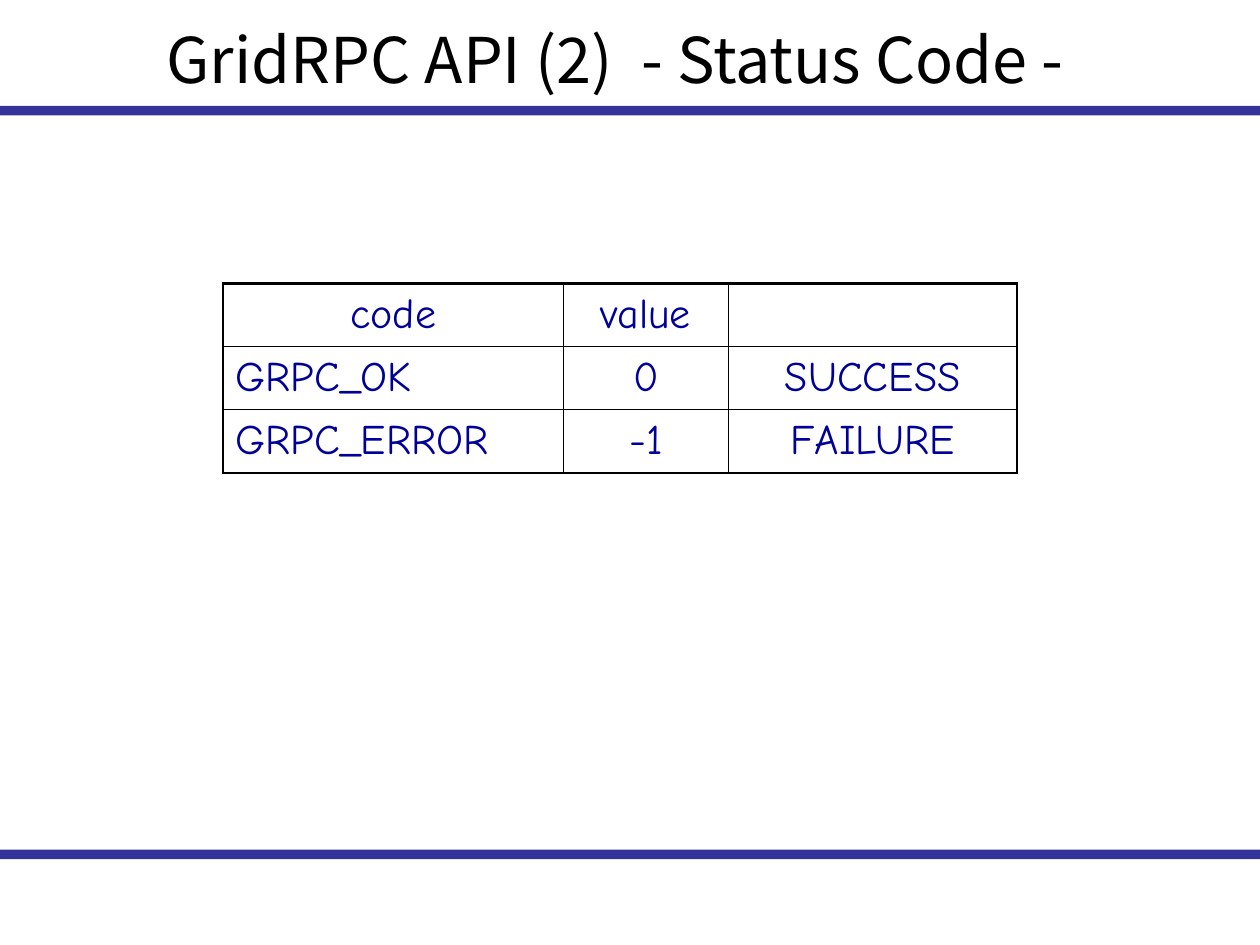
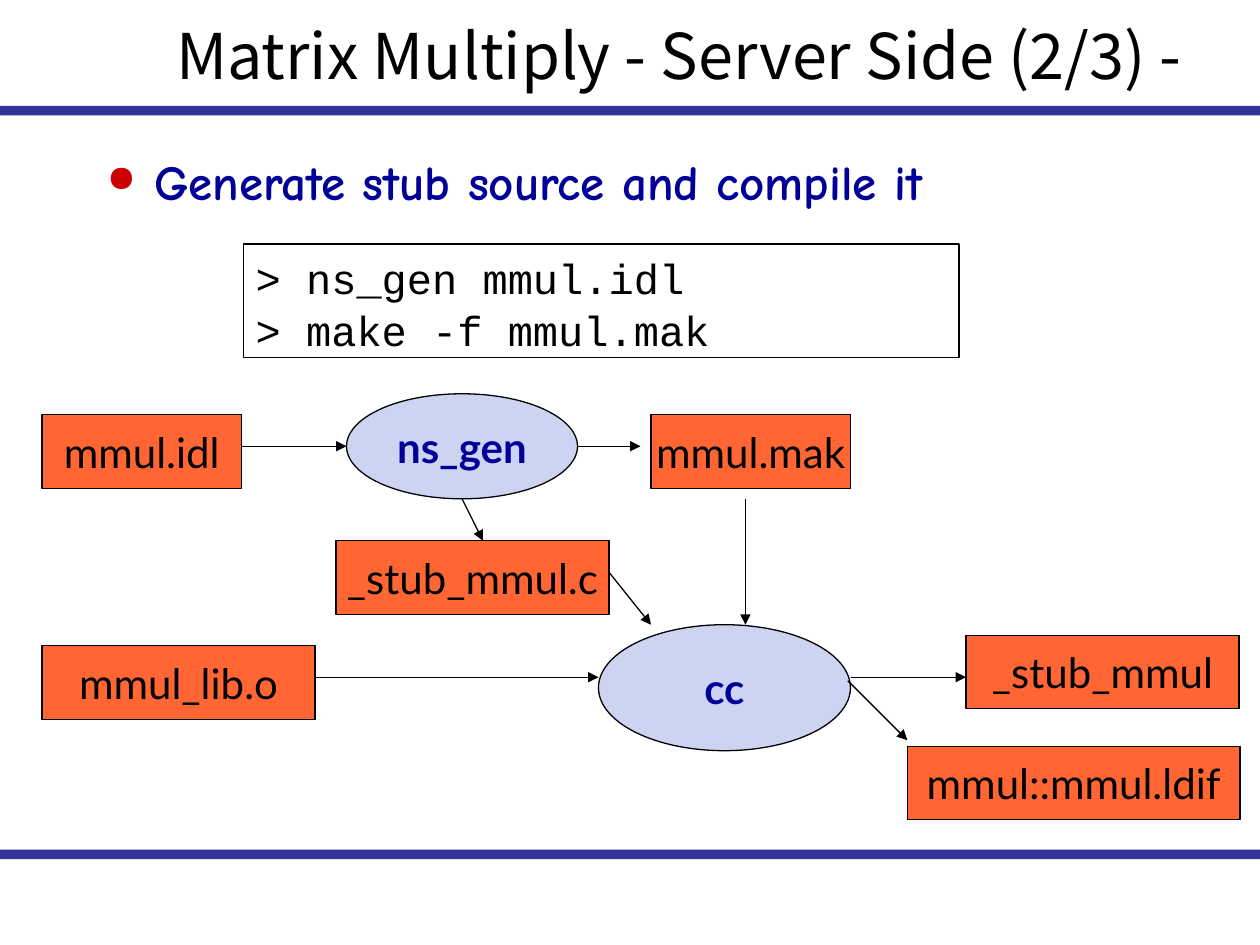
from dataclasses import dataclass

from lxml import etree
from pptx import Presentation
from pptx.dml.color import RGBColor
from pptx.enum.shapes import MSO_CONNECTOR, MSO_SHAPE
from pptx.enum.text import MSO_ANCHOR, PP_ALIGN
from pptx.oxml.ns import qn
from pptx.util import Pt

RECT, OVAL = MSO_SHAPE.RECTANGLE, MSO_SHAPE.OVAL
LINE = MSO_CONNECTOR.STRAIGHT
TOP, MID, LOW = MSO_ANCHOR.TOP, MSO_ANCHOR.MIDDLE, MSO_ANCHOR.BOTTOM
LEFT, CENTER = PP_ALIGN.LEFT, PP_ALIGN.CENTER


@dataclass(frozen=True)
class Theme:
    ink: str = "000000"
    navy: str = "000099"
    band: str = "000080"
    file: str = "FF6633"
    tool: str = "CDD4F1"
    dot: str = "CC0000"
    head: str = "Noto Sans CJK JP"
    hand: str = "Comic Neue"
    code: str = "Courier New"
    label: str = "Lato"
    title: float = 36
    point: float = 28
    body: float = 24
    thin: float = 0.45
    line: float = 0.75
    side: float = 1.08
    edge: float = 1.47


def add(parent, tag, **attrs):
    return etree.SubElement(parent, qn(tag), attrs)


def rgb(color):
    return RGBColor.from_string(color)


class Deck:
    def __init__(self, theme):
        self.theme = theme
        self.file = Presentation()
        self.file.slide_width, self.file.slide_height = Pt(720), Pt(540)
        self.slide = None

    def page(self, title, box, anchor):
        self.slide = self.file.slides.add_slide(self.file.slide_layouts[6])
        for top in (60.5, 485.5):
            band = self.shape(RECT, (0, top, 720, 5.5), self.theme.band)
            band.line.fill.background()
            tint = band.fill._xPr.find(".//" + qn("a:srgbClr"))
            add(tint, "a:alpha", val="80000")
        self.text(title, box, self.theme.head, self.theme.title,
                  self.theme.ink, anchor)

    def style(self, frame, font, size, color, bold=False, align=LEFT):
        for para in frame.paragraphs:
            para.alignment = align
            for run in para.runs:
                run.font.name = font
                run.font.size = Pt(size)
                run.font.bold = bold
                run.font.color.rgb = rgb(color)

    def text(self, words, box, font, size, color, anchor=TOP, bold=False):
        frame = self.slide.shapes.add_textbox(*map(Pt, box)).text_frame
        frame.word_wrap = True
        frame.vertical_anchor = anchor
        frame.text = words
        self.style(frame, font, size, color, bold)
        return frame

    def bullet(self, words, box):
        frame = self.text(words, box, self.theme.hand, self.theme.point,
                          self.theme.navy, bold=True)
        props = frame.paragraphs[0]._p.get_or_add_pPr()
        props.set("marL", str(Pt(27)))
        props.set("indent", str(-Pt(27)))
        add(add(props, "a:buClr"), "a:srgbClr", val=self.theme.dot)
        add(props, "a:buSzPct", val="75000")
        add(props, "a:buChar", char="●")

    def shape(self, kind, box, fill=None):
        shape = self.slide.shapes.add_shape(kind, *map(Pt, box))
        shape.shadow.inherit = False
        if fill:
            shape.fill.solid()
            shape.fill.fore_color.rgb = rgb(fill)
        else:
            shape.fill.background()
        shape.line.color.rgb = rgb(self.theme.ink)
        shape.line.width = Pt(self.theme.line)
        return shape

    def node(self, words, kind, box):
        tool = kind == OVAL
        fill = self.theme.tool if tool else self.theme.file
        color = self.theme.navy if tool else self.theme.ink
        frame = self.shape(kind, box, fill).text_frame
        frame.word_wrap = False
        frame.vertical_anchor = MID
        frame.text = words
        self.style(frame, self.theme.label, self.theme.body, color, tool, CENTER)

    def code(self, words, box):
        frame = self.shape(RECT, box).text_frame
        frame.word_wrap = True
        frame.vertical_anchor = TOP
        frame.text = words
        self.style(frame, self.theme.code, self.theme.body, self.theme.ink)
        for para in frame.paragraphs:
            para.line_spacing = Pt(30)

    def arrow(self, *ends):
        link = self.slide.shapes.add_connector(LINE, *map(Pt, ends))
        link.line.color.rgb = rgb(self.theme.ink)
        link.line.width = Pt(self.theme.line)
        add(link.line._get_or_add_ln(), "a:tailEnd", type="triangle")
        add(link._element.spPr, "a:effectLst")

    def border(self, cell, sides):
        props = cell._tc.get_or_add_tcPr()
        for spot, (side, width) in enumerate(sides.items()):
            line = etree.Element(qn("a:" + side), w=str(Pt(width)))
            add(add(line, "a:solidFill"), "a:srgbClr", val=self.theme.ink)
            props.insert(spot, line)

    def table(self, rows, left, top, widths, height):
        theme = self.theme
        box = (left, top, sum(widths), height * len(rows))
        table = self.slide.shapes.add_table(
            len(rows), len(widths), *map(Pt, box)).table
        for col, width in zip(table.columns, widths):
            col.width = Pt(width)
        across = [theme.edge, theme.side, theme.thin, theme.edge]
        down = [theme.side, theme.thin, theme.thin, theme.side]
        for r, row in enumerate(rows):
            table.rows[r].height = Pt(height)
            for c, words in enumerate(row):
                cell = table.cell(r, c)
                cell.fill.background()
                cell.vertical_anchor = MID
                cell.text = words
                align = LEFT if r and not c else CENTER
                self.style(cell.text_frame, theme.hand, theme.body,
                           theme.navy, align=align)
                self.border(cell, {"lnL": down[c], "lnR": down[c + 1],
                                   "lnT": across[r], "lnB": across[r + 1]})


def status(deck):
    deck.page("GridRPC API (2)  - Status Code -", (88, 5.8, 612.7, 54.7), MID)
    rows = [("code", "value", ""),
            ("GRPC_OK", "0", "SUCCESS"),
            ("GRPC_ERROR", "-1", "FAILURE")]
    deck.table(rows, 127.5, 162, (194.5, 94.3, 164.8), 36)


def server(deck):
    deck.page("Matrix Multiply - Server Side (2/3) -",
              (93.6, -2.2, 612, 58.3), LOW)
    deck.bullet("Generate stub source and compile it", (54, 83, 612, 42))
    deck.code("> ns_gen mmul.idl\n> make -f mmul.mak", (139, 139.5, 409, 65))
    high = 42
    files = [("mmul.idl", 24, 237, 114), ("mmul.mak", 372, 237, 114),
             ("_stub_mmul.c", 192, 309, 156), ("mmul_lib.o", 24, 369, 156),
             ("_stub_mmul", 552, 363, 156), ("mmul::mmul.ldif", 518.5, 426.5, 190)]
    for words, left, top, width in files:
        deck.node(words, RECT, (left, top, width, high))
    deck.node("ns_gen", OVAL, (198, 225, 132, 60))
    deck.node("cc", OVAL, (342, 357, 144, 72))
    flows = [(138, 255, 198, 255), (330, 255, 366, 255), (264, 285, 276, 309),
             (180, 387, 342, 387), (348, 327, 372, 357), (426, 285, 426, 357),
             (486, 387, 552, 387), (484.5, 389, 518.5, 423)]
    for ends in flows:
        deck.arrow(*ends)


def main():
    deck = Deck(Theme())
    status(deck)
    server(deck)
    deck.file.save("out.pptx")


if __name__ == "__main__":
    main()
